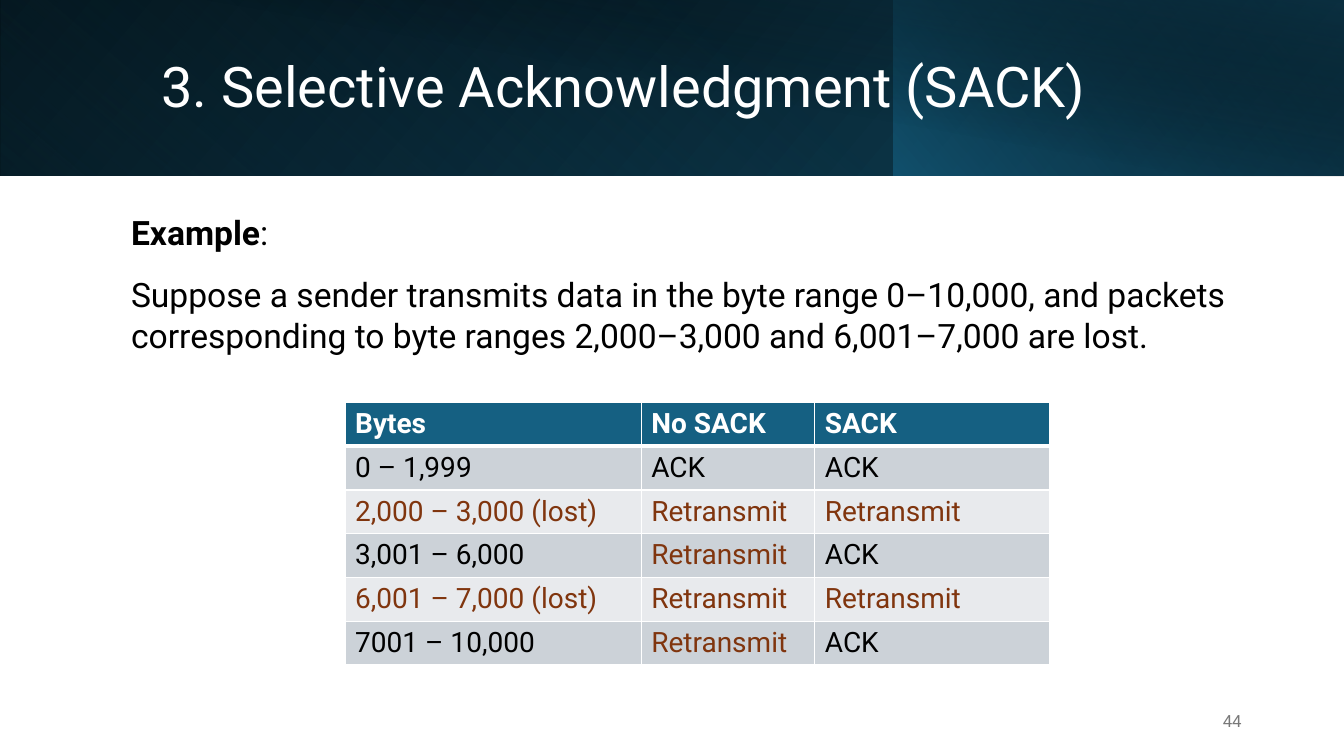
import pptx
import pptx.util
import pptx.dml.color
import pptx.enum.shapes
import pptx.enum.text
import pptx.oxml.ns
from lxml import etree

Pt = pptx.util.Pt
qn = pptx.oxml.ns.qn
ALIGN = pptx.enum.text.PP_ALIGN
MIDDLE = pptx.enum.text.MSO_ANCHOR.MIDDLE

WHITE, BLACK, TEAL, NAVY = "FFFFFF", "000000", "156082", "0B3041"
RUST, GREY, BAND_DARK, BAND_LIGHT = "80350E", "797979", "CCD2D8", "E8EAED"


def color(value):
    return pptx.dml.color.RGBColor.from_string(value)


class SlideBuilder:
    font_name = "Roboto"

    def __init__(self, deck):
        self.page = deck.slides.add_slide(deck.slide_layouts[5])

    def set_font(self, font, size, shade, bold=False):
        font.name, font.size, font.bold = self.font_name, Pt(size), bold
        font.color.rgb = color(shade)

    def gradient(self, frame, stops, angle, turn=0, flip=False):
        """Stops are (position, colour, opacity) in percent; angle is clockwise."""
        box = self.page.shapes.add_shape(
            pptx.enum.shapes.MSO_SHAPE.RECTANGLE, *map(Pt, frame))
        box.shadow.inherit = False
        box.line.fill.background()
        box.rotation = turn
        if flip:
            box._element.spPr.find(qn("a:xfrm")).set("flipH", "1")
        box.fill.gradient()
        box.fill.gradient_angle = 360 - angle
        for stop, (position, shade, _) in zip(box.fill.gradient_stops, stops):
            stop.position = position / 100
            stop.color.rgb = color(shade)
        for node, (_, _, opacity) in zip(box._element.spPr.iter(qn("a:srgbClr")), stops):
            if opacity < 100:
                etree.SubElement(node, qn("a:alpha")).set("val", str(opacity * 1000))

    def title(self, frame, text, size):
        box = self.page.shapes.title
        box.left, box.top, box.width, box.height = map(Pt, frame)
        box.text_frame.text = text
        box.text_frame.word_wrap = True
        box.text_frame.vertical_anchor = MIDDLE
        para = box.text_frame.paragraphs[0]
        para.alignment = ALIGN.LEFT
        para.line_spacing = 0.9
        self.set_font(para.font, size, WHITE)
        # Bring the title in front of the banner
        self.page.shapes._spTree.append(box._element)

    def text(self, frame, paragraphs, size, shade=BLACK, align=ALIGN.LEFT, anchor=None):
        """Each paragraph is a list of (text, bold) spans."""
        box = self.page.shapes.add_textbox(*map(Pt, frame))
        box.text_frame.word_wrap = True
        box.text_frame.vertical_anchor = anchor
        for index, spans in enumerate(paragraphs):
            para = box.text_frame.paragraphs[0] if index == 0 else box.text_frame.add_paragraph()
            para.alignment = align
            if index:
                para.space_before = Pt(16)
            self.set_font(para.font, size, shade)
            for words, bold in spans:
                span = para.add_run()
                span.text = words
                if bold:
                    span.font.bold = True

    def border(self, cell, side, width):
        line = etree.SubElement(cell._tc.get_or_add_tcPr(), qn("a:" + side))
        line.set("w", str(Pt(width)))
        fill = etree.SubElement(line, qn("a:solidFill"))
        etree.SubElement(fill, qn("a:srgbClr")).set("val", WHITE)

    def table(self, left, top, widths, row_height, rows, size):
        frame = self.page.shapes.add_table(
            len(rows), len(widths), Pt(left), Pt(top),
            Pt(sum(widths)), Pt(row_height * len(rows)))
        grid = frame.table
        for column, width in zip(grid.columns, widths):
            column.width = Pt(width)
        for r, row in enumerate(rows):
            for c, words in enumerate(row):
                cell = grid.cell(r, c)
                cell.text = words
                for side in ("lnL", "lnR", "lnT", "lnB"):
                    thick = (r, side) in ((0, "lnB"), (1, "lnT"))
                    self.border(cell, side, 3 if thick else 1)
                cell.fill.solid()
                band = TEAL if r == 0 else BAND_DARK if r % 2 else BAND_LIGHT
                cell.fill.fore_color.rgb = color(band)
                resend = "lost" in words or words == "Retransmit"
                shade = WHITE if r == 0 else RUST if resend else BLACK
                self.set_font(cell.text_frame.paragraphs[0].font, size, shade, r == 0)


def main():
    deck = pptx.Presentation()
    deck.slide_width, deck.slide_height = Pt(960), Pt(540)
    slide = SlideBuilder(deck)

    # Banner
    slide.gradient((0, 0, 960, 125.5), [(0, BLACK, 100), (100, "104862", 100)], 140, flip=True)
    slide.gradient((0, 0, 639, 125.5), [(20, TEAL, 0), (100, NAVY, 55)], 230, turn=180, flip=True)
    slide.gradient((638.5, 0, 321.5, 125.5), [(0, TEAL, 66), (100, BLACK, 30)], 220, flip=True)
    slide.gradient((36, 0, 924, 126), [(50, BLACK, 0), (99, NAVY, 52)], 280)
    slide.title((108, 23, 779, 81.5), "3. Selective Acknowledgment (SACK)", 40)

    # Slide number
    slide.text((678, 500.5, 216, 28.75), [[("44", False)]], 12, GREY, ALIGN.RIGHT, MIDDLE)

    # Example
    slide.text((86.5, 147.5, 826, 345.5), [
        [("Example", True), (":", False)],
        [("Suppose a sender transmits data in the byte range 0–10,000, and packets "
          "corresponding to byte ranges 2,000–3,000 and 6,001–7,000 are lost.", False)],
    ], 24)

    # Comparison
    slide.table(246.5, 287.5, (211.5, 124, 167.5), 29.5, [
        ("Bytes", "No SACK", "SACK"),
        ("0 – 1,999", "ACK", "ACK"),
        ("2,000 – 3,000 (lost)", "Retransmit", "Retransmit"),
        ("3,001 – 6,000", "Retransmit", "ACK"),
        ("6,001 – 7,000 (lost)", "Retransmit", "Retransmit"),
        ("7001 – 10,000", "Retransmit", "ACK"),
    ], 20)

    deck.save("out.pptx")


if __name__ == "__main__":
    main()
